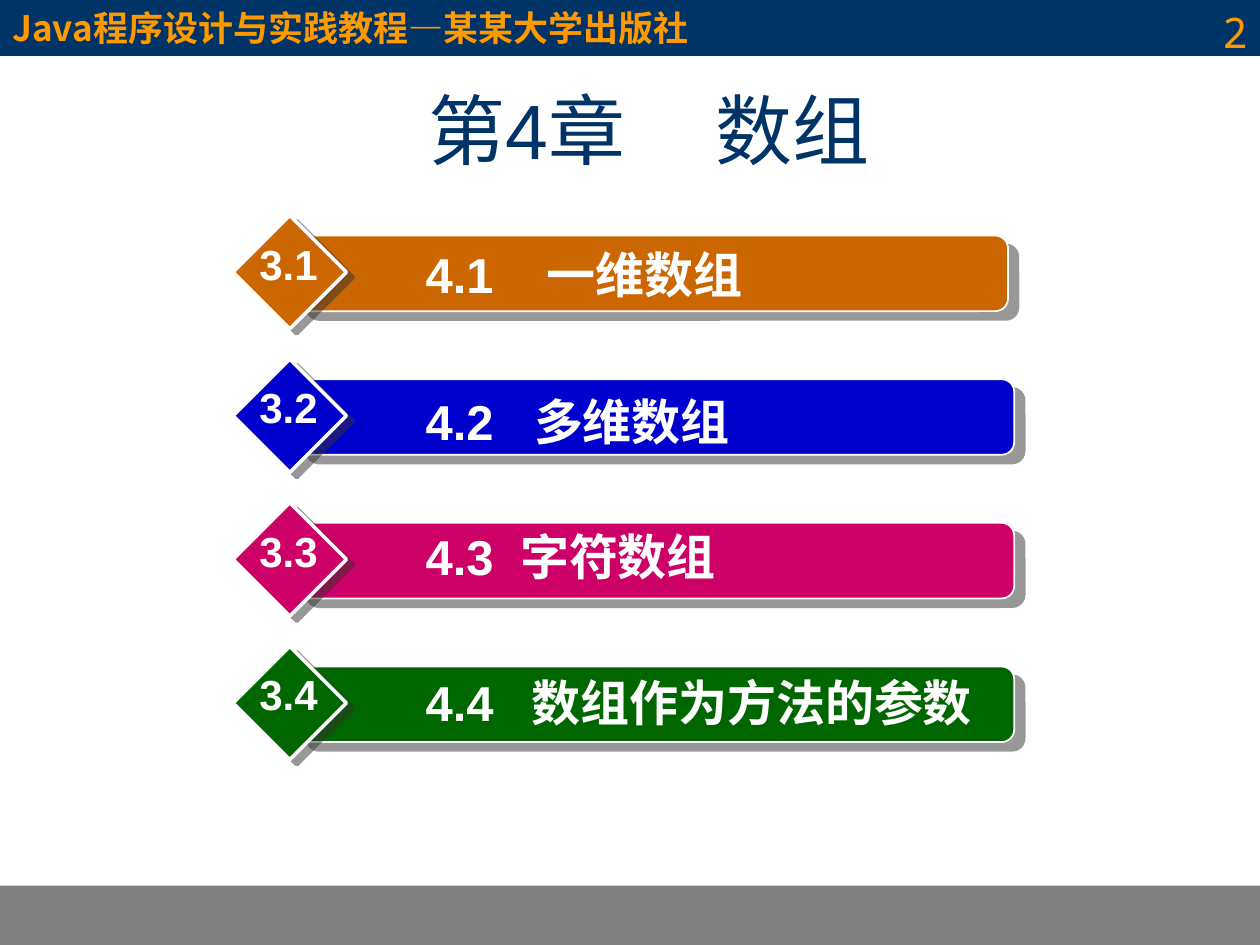
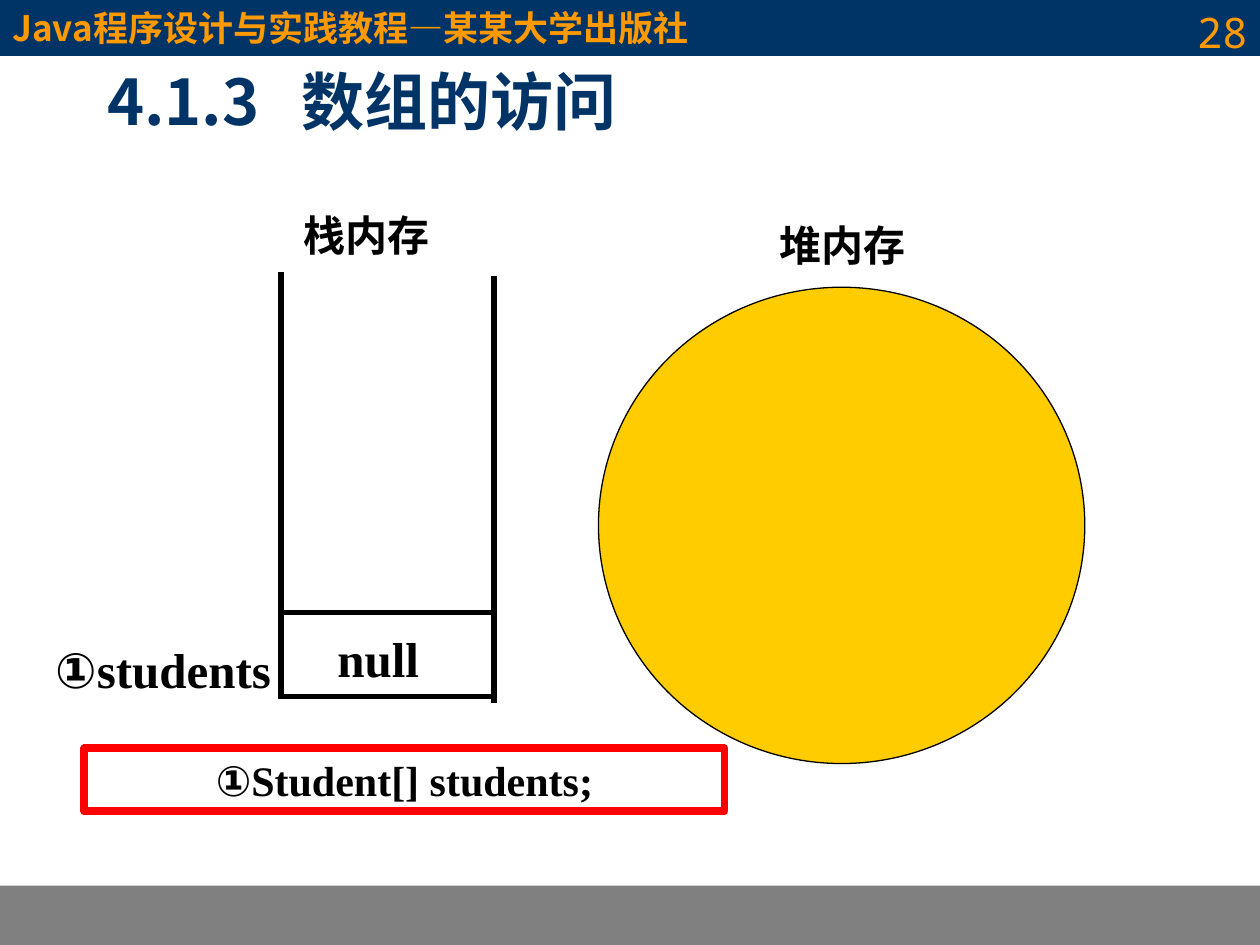
"""Build two slides of a course on arrays in Java."""
from lxml.etree import SubElement
from pptx import Presentation
from pptx.dml.color import RGBColor
from pptx.enum.shapes import MSO_CONNECTOR, MSO_SHAPE
from pptx.enum.text import MSO_ANCHOR, MSO_AUTO_SIZE, PP_ALIGN
from pptx.oxml.ns import qn
from pptx.util import Inches, Pt

COLORS = {
    "navy": "003366", "gray": "808080", "amber": "FF9900", "gold": "FFCC00",
    "black": "000000", "white": "FFFFFF", "red": "FF0000", "shade": "333333",
    "rust": "CC6600", "blue": "0000CC", "pink": "CC0066", "green": "006600",
}
SANS, MONO = "Noto Sans CJK SC", "Noto Sans Mono"
ARIAL, TIMES = "Arial", "Times New Roman"
COURSE = "Java程序设计与实践教程—某某大学出版社"
TOPICS = [
    ("3.1", "4.1\t一维数组", "rust", 5.65, 0.18, 0.96),
    ("3.2", "4.2\t多维数组", "blue", 5.7, 0.21, 0.86),
    ("3.3", "4.3\t字符数组", "pink", 5.7, 0.14, 0.75),
    ("3.4", "4.4\t数组作为方法的参数", "green", 5.7, 0.16, 0.84),
]


def color(name):
    return RGBColor.from_string(COLORS[name])


def inches(box):
    return [Inches(n) for n in box]


def write(frame, text, size, font, ink, bold=True, align=PP_ALIGN.LEFT, tab=None):
    frame.text = text
    para = frame.paragraphs[0]
    para.alignment = align
    props = para._p.get_or_add_pPr()
    if tab:
        stops = SubElement(props, qn("a:tabLst"))
        SubElement(stops, qn("a:tab"), pos=str(Inches(tab)), algn="l")
    para.font.size = Pt(size)
    para.font.name = font
    para.font.bold = bold
    para.font.color.rgb = color(ink)
    SubElement(props.find(qn("a:defRPr")), qn("a:ea"), typeface=SANS)
    return para


def label(slide, text, box, size, font, ink="black", wrap=True, **style):
    frame = slide.shapes.add_textbox(*inches(box)).text_frame
    frame.word_wrap = wrap
    write(frame, text, size, font, ink, **style)


def shape(slide, kind, box, fill, line=None, width=0.75):
    item = slide.shapes.add_shape(kind, *inches(box))
    item.shadow.inherit = False
    item.fill.solid()
    item.fill.fore_color.rgb = color(fill)
    if line:
        item.line.color.rgb = color(line)
        item.line.width = Pt(width)
    else:
        item.line.fill.background()
    return item


def shade(item, dist, angle):
    effects = item._element.spPr.find(qn("a:effectLst"))
    outer = SubElement(effects, qn("a:outerShdw"), blurRad="0", dist=str(Pt(dist)),
                       dir=str(angle * 60000), algn="ctr", rotWithShape="0")
    tint = SubElement(outer, qn("a:srgbClr"), val=COLORS["shade"])
    SubElement(tint, qn("a:alpha"), val="50000")


def rule(slide, x1, y1, x2, y2):
    line = slide.shapes.add_connector(MSO_CONNECTOR.STRAIGHT, *inches((x1, y1, x2, y2)))
    line.line.color.rgb = color("black")
    line.line.width = Pt(3)
    SubElement(line._element.spPr, qn("a:effectLst"))


def title(slide, text, box, size, font, bold, tab, indent=0.1, anchor=MSO_ANCHOR.MIDDLE):
    head = slide.shapes.title
    head.left, head.top, head.width, head.height = inches(box)
    frame = head.text_frame
    frame.auto_size = MSO_AUTO_SIZE.NONE
    frame.vertical_anchor = anchor
    frame.margin_left = Inches(indent)
    return write(frame, text, size, font, "navy", bold=bold, tab=tab)


def start(deck, number):
    slide = deck.slides.add_slide(deck.slide_layouts[5])
    shape(slide, MSO_SHAPE.RECTANGLE, (0, 7.03, 10, 0.47), "gray")
    band = shape(slide, MSO_SHAPE.RECTANGLE, (0, 0, 10, 0.44), "navy", "navy")
    band.text_frame.vertical_anchor = MSO_ANCHOR.MIDDLE
    write(band.text_frame, COURSE, 20, SANS, "amber")
    label(slide, number, (7.67, 0, 2.33, 0.52), 24, MONO, "amber",
          bold=False, align=PP_ALIGN.RIGHT)
    return slide


def topic(slide, top, mark, text, fill, width, drop, tab):
    bar = shape(slide, MSO_SHAPE.ROUNDED_RECTANGLE, (2.35, top + 0.16, width, 0.6),
                fill, "white", 1)
    shade(bar, 7.8, 40)
    gem = shape(slide, MSO_SHAPE.DIAMOND, (1.85, top, 0.9, 0.9), fill, "white", 2)
    shade(gem, 5, 37)
    label(slide, text, (3.28, top + drop, 4.72, 0.57), 28, ARIAL, "white", tab=tab)
    label(slide, mark, (1.96, top + 0.13, 0.66, 0.5), 24, ARIAL, "white",
          wrap=False, align=PP_ALIGN.CENTER)


def outline(deck):
    slide = start(deck, "2")
    title(slide, "第4章\t数组", (2.01, 0.28, 6.3, 1.49), 44, ARIAL, False, 2.28, 1.39)
    for row, entry in enumerate(TOPICS):
        topic(slide, 1.71 + 1.14 * row, *entry)


def memory(deck):
    slide = start(deck, "28")
    para = title(slide, "4.1.3\t数组的访问", (0.75, 0.28, 7.16, 0.87), 36, SANS, True,
                 1.54, anchor=MSO_ANCHOR.BOTTOM)
    para.line_spacing = 1.3
    para.space_before, para.space_after = Pt(11.2), Pt(13.5)

    shape(slide, MSO_SHAPE.OVAL, (4.75, 2.28, 3.86, 3.78), "gold", "black")
    label(slide, "栈内存", (2.31, 1.61, 1.77, 0.5), 24, TIMES)
    label(slide, "堆内存", (6.09, 1.69, 1.66, 0.5), 24, TIMES)
    for y in (4.86, 5.53):
        rule(slide, 2.25, y, 3.92, y)
    for x, top in ((2.23, 2.16), (3.92, 2.19)):
        rule(slide, x, top + 3.39, x, top)
    label(slide, "①", (0.34, 5.03, 0.54, 0.57), 28, ARIAL, wrap=False)
    label(slide, "students", (0.67, 5.03, 1.75, 0.57), 28, TIMES, wrap=False)
    label(slide, "null", (2.58, 4.94, 1.17, 0.57), 28, TIMES)

    code = shape(slide, MSO_SHAPE.RECTANGLE, (0.67, 5.94, 5.08, 0.5), "white", "red", 4.5)
    code.text_frame.vertical_anchor = MSO_ANCHOR.TOP
    para = write(code.text_frame, "①", 24, TIMES, "black", align=PP_ALIGN.CENTER)
    para.runs[0].font.name = ARIAL
    para.add_run().text = "Student[] students;"


def main():
    deck = Presentation()
    deck.slide_width, deck.slide_height = Inches(10), Inches(7.5)
    outline(deck)
    memory(deck)
    deck.save("out.pptx")


if __name__ == "__main__":
    main()
